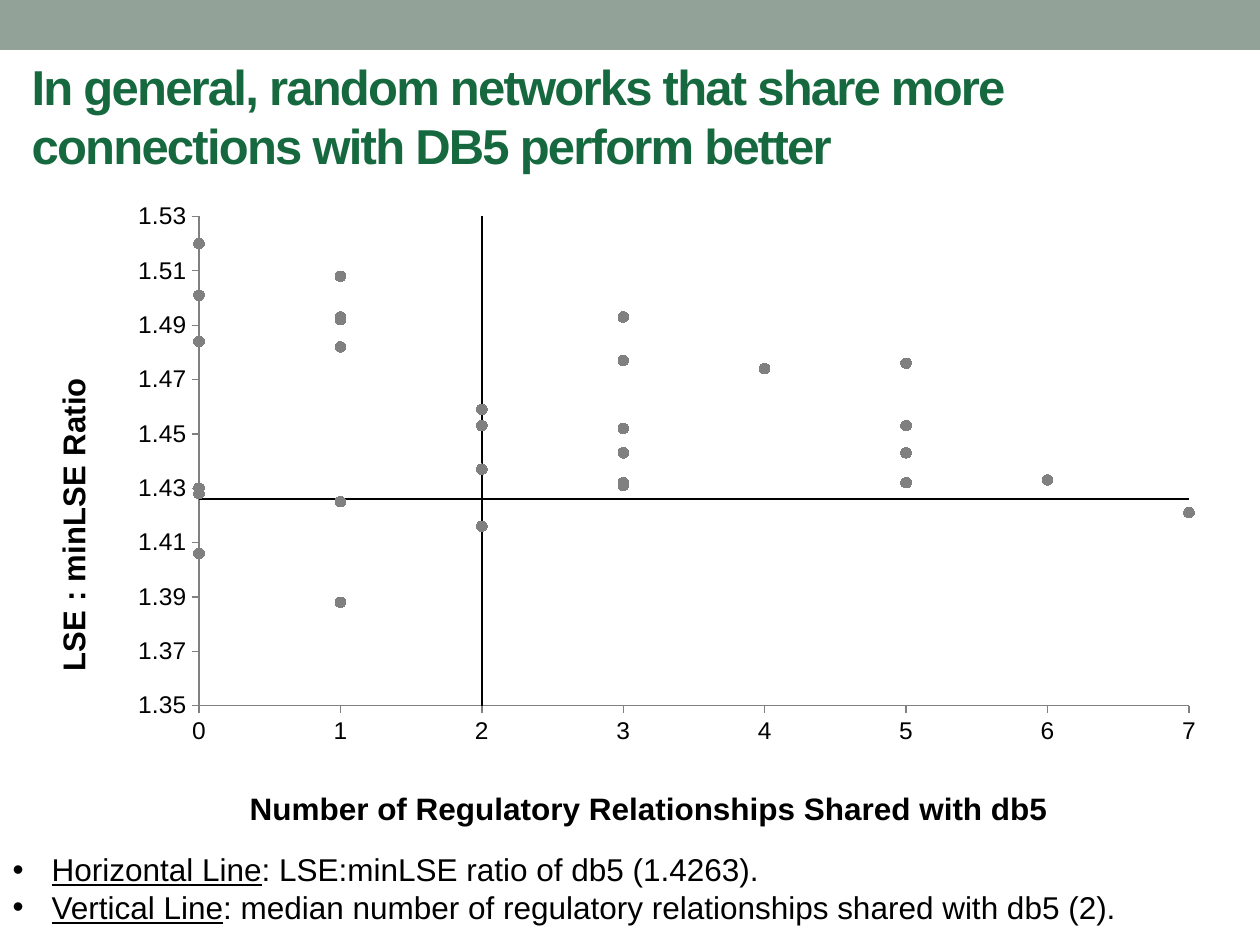
from pptx import Presentation
from pptx import util as u
from pptx.chart.data import XyChartData
from pptx.dml.color import RGBColor
from pptx.enum import chart as charts, shapes, text
from pptx.oxml import parse_xml
from pptx.oxml.ns import nsdecls

PX = 914400 / 126
SAGE = RGBColor(0x93, 0xA2, 0x99)
GREEN = RGBColor(0x16, 0x69, 0x3F)
GRAY = RGBColor(0x80, 0x80, 0x80)
BLACK = RGBColor(0, 0, 0)
FONT = "Arial"

SHARED = [1, 0, 2, 7, 1, None, 0, 0, 3, 3, 3, 5, 6, 2, 5, 3,
          3, 5, 2, 2, 4, 5, 3, 1, 0, 1, 1, 3, 0, 1, 0]
RATIOS = [1.388, 1.406, 1.416, 1.421, 1.425, 1.426, 1.428, 1.43, 1.431, 1.431, 1.432,
          1.432, 1.433, 1.437, 1.443, 1.443, 1.452, 1.453, 1.453, 1.459, 1.474, 1.476,
          1.477, 1.482, 1.484, 1.492, 1.493, 1.493, 1.501, 1.508, 1.52]
NETWORKS = list(zip(SHARED, RATIOS))
MEDIAN_LINE = [(2, 0), (2, 1.6)]
DB5_LINE = [(0, 1.426), (8, 1.426)]
NOTES = [
    ("Horizontal Line", ": LSE:minLSE ratio of db5 (1.4263)."),
    ("Vertical Line", ": median number of regulatory relationships shared with db5 (2)."),
]


def emu(box):
    """Turn px lengths into EMU."""
    return [u.Emu(round(length * PX)) for length in box]


def place(shape, box):
    """Move a placeholder into a px box."""
    shape.left, shape.top, shape.width, shape.height = emu(box)


def set_font(font, size, color=BLACK, bold=False):
    """Apply the slide typeface with a size, colour and weight."""
    font.name, font.size, font.bold = FONT, u.Pt(size), bold
    font.color.rgb = color


def add_band(slide, box):
    """Draw the plain band across the top."""
    band = slide.shapes.add_shape(shapes.MSO_SHAPE.RECTANGLE, *emu(box))
    band.shadow.inherit = False
    band.fill.solid()
    band.fill.fore_color.rgb = SAGE
    band.line.fill.background()


def fill_title(title, box):
    """Place and format the heading."""
    place(title, box)
    frame = title.text_frame
    frame.text = "In general, random networks that share more connections with DB5 perform better"
    frame.auto_size = text.MSO_AUTO_SIZE.NONE
    frame.vertical_anchor = text.MSO_ANCHOR.MIDDLE
    frame.margin_bottom = emu([15])[0]
    heading = frame.paragraphs[0]
    heading.alignment = text.PP_ALIGN.LEFT
    set_font(heading.runs[0].font, 28, GREEN, True)
    heading.runs[0].font._element.set("spc", "-100")


def set_layout(parent, box, part):
    """Place a chart part at px offsets (x, y and, for the plot, w, h) in the chart box."""
    for old in parent.findall("{*}layout"):
        parent.remove(old)
    inner = len(part) == 4
    target = '<c:layoutTarget val="inner"/>' if inner else ""
    modes = '<c:xMode val="edge"/><c:yMode val="edge"/>'
    values = "".join(f'<c:{key} val="{length / whole}"/>'
                     for key, length, whole in zip("xywh", part, box[2:] * 2))
    layout = parse_xml(f'<c:layout {nsdecls("c")}><c:manualLayout>{target}{modes}{values}'
                       '</c:manualLayout></c:layout>')
    if inner:
        parent.insert(0, layout)
    else:
        parent.find("{*}tx").addnext(layout)


def format_axis(axis, title, low, high, step, number_format):
    """Set the scale, ticks and title of one axis."""
    axis.minimum_scale, axis.maximum_scale, axis.major_unit = low, high, step
    axis.has_major_gridlines = False
    axis.major_tick_mark = charts.XL_TICK_MARK.OUTSIDE
    axis.minor_tick_mark = charts.XL_TICK_MARK.NONE
    axis.tick_labels.number_format = number_format
    axis.tick_labels.number_format_is_linked = False
    set_font(axis.tick_labels.font, 14)
    axis.format.line.color.rgb = GRAY
    frame = axis.axis_title.text_frame
    frame.text = title
    set_font(frame.paragraphs[0].runs[0].font, 18, bold=True)


def add_scatter(slide, box):
    """Plot the networks with the median and db5 reference lines."""
    data = XyChartData()
    for number, points in enumerate((NETWORKS, MEDIAN_LINE, DB5_LINE), 1):
        series = data.add_series(f"Series {number}")
        for shared, ratio in points:
            series.add_data_point(shared, ratio)
    chart = slide.shapes.add_chart(charts.XL_CHART_TYPE.XY_SCATTER, *emu(box), data).chart
    chart.has_legend = chart.has_title = False
    set_font(chart.font, 10)
    plot = chart.plots[0]
    plot.vary_by_categories = False
    networks, *references = plot.series
    for unknown in networks._element.xpath('c:xVal//c:pt[c:v="None"]'):
        unknown.getparent().remove(unknown)
    networks.smooth = False
    networks.format.line.fill.background()
    networks.marker.style = charts.XL_MARKER_STYLE.CIRCLE
    networks.marker.size = 6
    networks.marker.format.fill.solid()
    networks.marker.format.fill.fore_color.rgb = GRAY
    networks.marker.format.line.fill.background()
    for reference in references:
        reference.smooth = False
        reference.marker.style = charts.XL_MARKER_STYLE.NONE
        reference.format.line.color.rgb = BLACK
        reference.format.line.width = u.Pt(1.5)
    shared_axis, ratio_axis = chart.category_axis, chart.value_axis
    format_axis(shared_axis, "Number of Regulatory Relationships Shared with db5", 0, 7, 1, "0")
    format_axis(ratio_axis, "LSE : minLSE Ratio", 1.35, 1.53, 0.02, "0.00")
    set_layout(shared_axis.axis_title._element, box, (200, 602))
    set_layout(ratio_axis.axis_title._element, box, (3, 190))
    set_layout(plot._element.getparent(), box, (155, 27, 990, 497))


def fill_notes(body, box):
    """Place the bulleted key to the two lines."""
    place(body, box)
    frame = body.text_frame
    frame.auto_size = text.MSO_AUTO_SIZE.NONE
    hang = emu([39])[0]
    for number, (label, meaning) in enumerate(NOTES):
        note = frame.add_paragraph() if number else frame.paragraphs[0]
        note.text = label
        note.add_run().text = meaning
        note.space_before = u.Pt(0)
        properties = note._p.get_or_add_pPr()
        properties.set("marL", str(hang))
        properties.set("indent", str(-hang))
        properties.append(parse_xml(f'<a:buFont {nsdecls("a")} typeface="{FONT}"/>'))
        properties.append(parse_xml(f'<a:buChar {nsdecls("a")} char="•"/>'))
        for run in note.runs:
            set_font(run.font, 18)
        note.runs[0].font.underline = True


def main():
    """Build and save the slide."""
    deck = Presentation()
    deck.slide_width, deck.slide_height = emu([1260, 945])
    slide = deck.slides.add_slide(deck.slide_layouts[1])
    add_band(slide, (0, 0, 1260, 50))
    fill_title(slide.shapes.title, (19, 50, 1003, 139))
    add_scatter(slide, (44, 190, 1176, 646))
    fill_notes(slide.placeholders[1], (0, 844, 1260, 89))
    deck.save("out.pptx")


if __name__ == "__main__":
    main()
